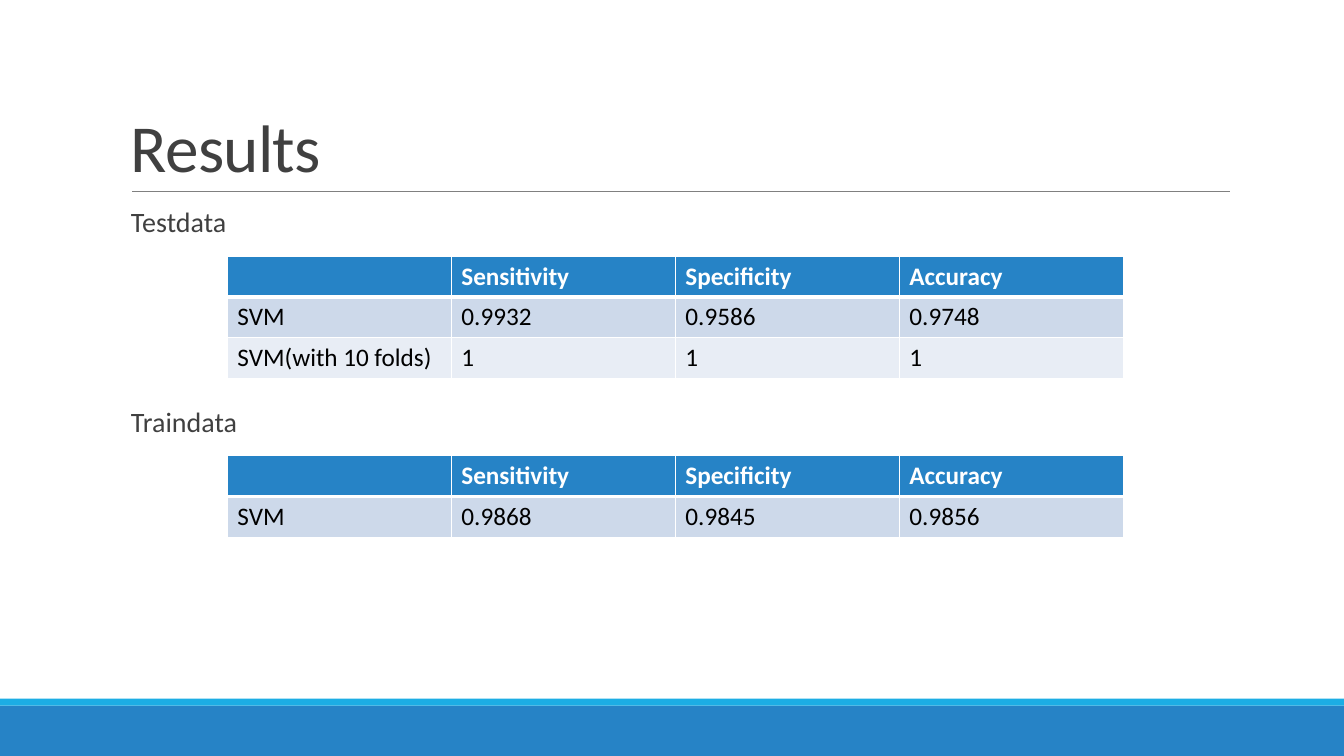
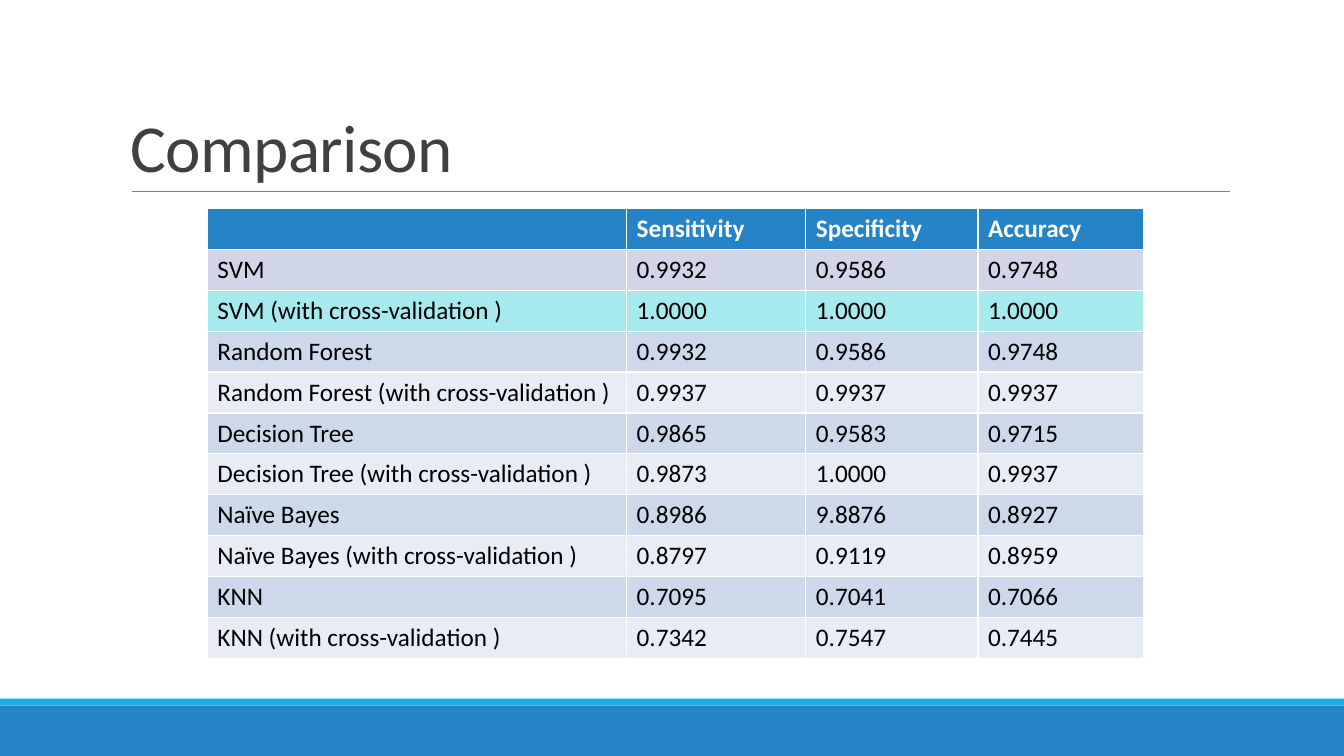
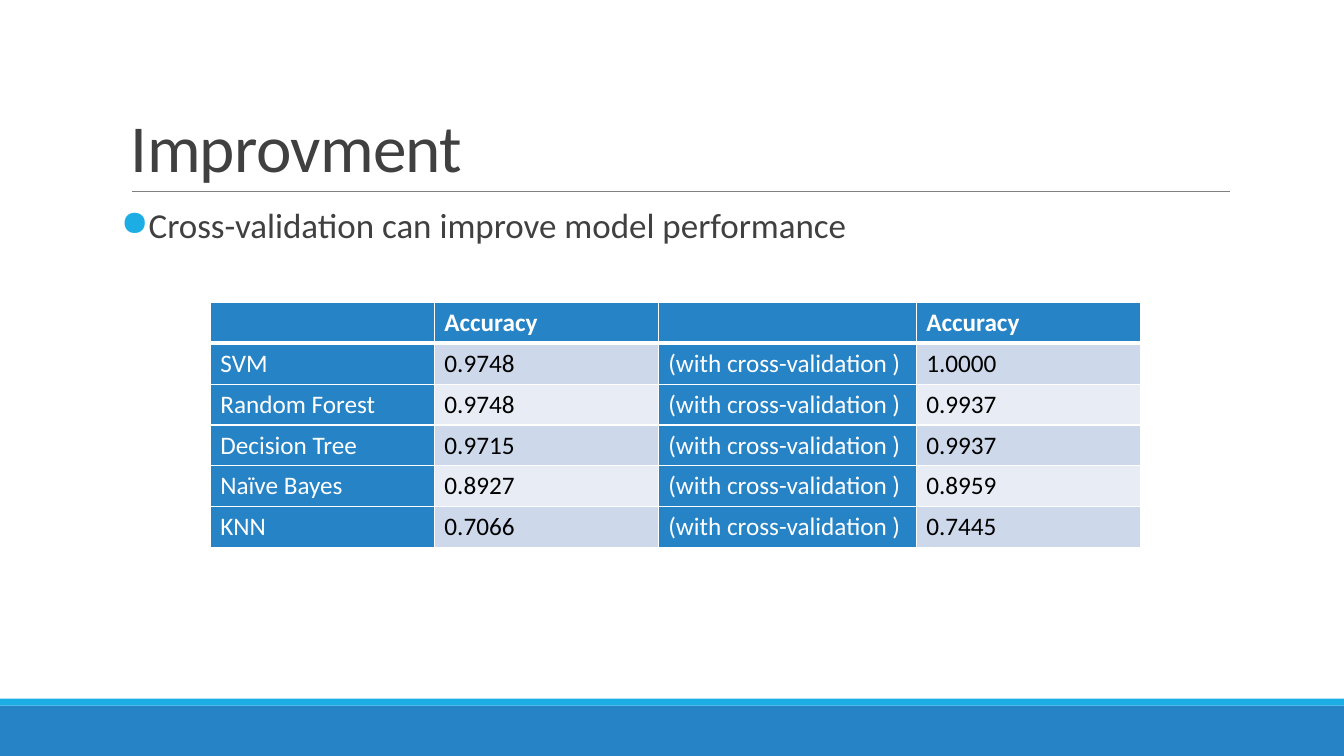
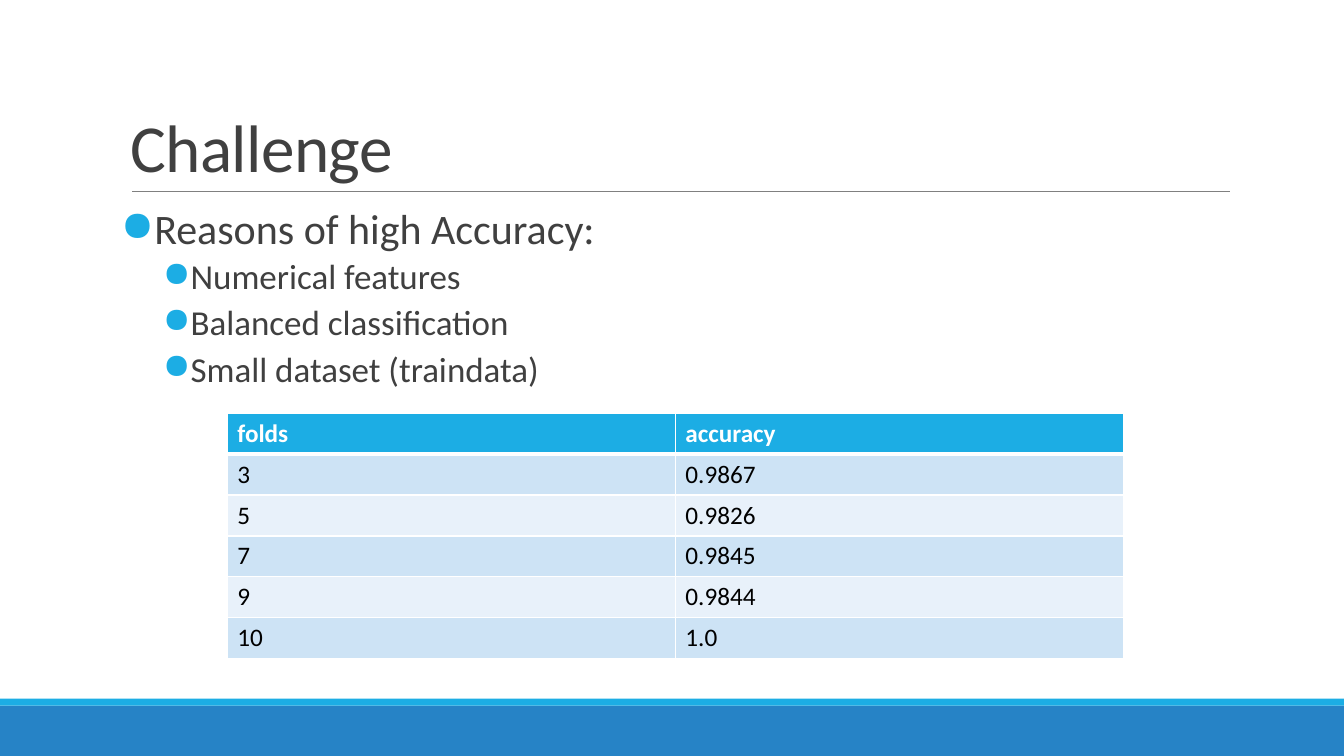
import collections

import lxml.etree
import pptx
import pptx.dml.color
import pptx.enum.shapes
import pptx.enum.text
import pptx.oxml.ns
import pptx.util

Pt = pptx.util.Pt
Box = collections.namedtuple("Box", "left top width height")
Line = collections.namedtuple("Line", "text size level space_before space_after")

# Shared style
FONT = "Calibri"
BLUE, CYAN, WHITE, BLACK = "2683C6", "1CADE4", "FFFFFF", "000000"
DARK_GREY, RULE_GREY = "404040", "808080"
BLUE_BANDS = ("CDD9EA", "E8EDF5")
CYAN_BANDS = ("CDE3F5", "E8F1FA")

SLIDE = Box(0, 0, 960, 540)
TITLE = Box(86.4, 22.3, 792, 114.5)
BODY = Box(86.4, 145.4, 792, 316.8)
ROW_HEIGHT = 29.2

# Scores: sensitivity, specificity, accuracy
METRICS = ["Sensitivity", "Specificity", "Accuracy"]
FOLDED = "(with cross-validation )"
MODELS = [
    ("SVM", ["0.9932", "0.9586", "0.9748"], ["1.0000", "1.0000", "1.0000"]),
    ("Random Forest", ["0.9932", "0.9586", "0.9748"], ["0.9937", "0.9937", "0.9937"]),
    ("Decision Tree", ["0.9865", "0.9583", "0.9715"], ["0.9873", "1.0000", "0.9937"]),
    ("Naïve Bayes", ["0.8986", "9.8876", "0.8927"], ["0.8797", "0.9119", "0.8959"]),
    ("KNN", ["0.7095", "0.7041", "0.7066"], ["0.7342", "0.7547", "0.7445"]),
]


def color(value):
    return pptx.dml.color.RGBColor.from_string(value)


def add_element(parent, tag, **attributes):
    element = lxml.etree.SubElement(parent, pptx.oxml.ns.qn(tag))
    for name, value in attributes.items():
        element.set(name, str(value))
    return element


def format_runs(paragraph, size, font_color, bold=False):
    for run in paragraph.runs:
        run.font.name = FONT
        run.font.size = Pt(size)
        run.font.bold = bold
        run.font.color.rgb = color(font_color)


def add_text_box(slide, box):
    text_frame = slide.shapes.add_textbox(*map(Pt, box)).text_frame
    text_frame.word_wrap = True
    return text_frame


def add_band(slide, box, fill):
    band = slide.shapes.add_shape(
        pptx.enum.shapes.MSO_SHAPE.RECTANGLE, *map(Pt, box))
    band.shadow.inherit = False
    band.fill.solid()
    band.fill.fore_color.rgb = color(fill)
    band.line.fill.background()


def add_slide(presentation, title):
    slide = presentation.slides.add_slide(presentation.slide_layouts[6])

    # Footer bands
    add_band(slide, Box(0, 504, SLIDE.width, 36), BLUE)
    add_band(slide, Box(0, 499, SLIDE.width, 5), CYAN)

    # Rule under the title
    bottom = TITLE.top + TITLE.height
    rule = slide.shapes.add_connector(
        pptx.enum.shapes.MSO_CONNECTOR.STRAIGHT,
        Pt(TITLE.left + 8), Pt(bottom), Pt(TITLE.left + TITLE.width), Pt(bottom))
    rule.line.color.rgb = color(RULE_GREY)
    rule.line.width = Pt(0.5)
    add_element(rule._element.spPr, "a:effectLst")

    # Title
    text_frame = add_text_box(slide, TITLE)
    text_frame.vertical_anchor = pptx.enum.text.MSO_ANCHOR.BOTTOM
    paragraph = text_frame.paragraphs[0]
    paragraph.text = title
    paragraph.line_spacing = 0.85
    format_runs(paragraph, 48, DARK_GREY)
    paragraph.runs[0]._r.get_or_add_rPr().set("spc", "-50")
    return slide


def add_body(slide, box, lines):
    """Level 0 is a plain label; levels 1 and 2 have bullets."""
    text_frame = add_text_box(slide, box)
    text_frame.margin_left = text_frame.margin_right = 0
    for index, line in enumerate(lines):
        paragraph = text_frame.add_paragraph() if index else text_frame.paragraphs[0]
        paragraph.text = line.text
        paragraph.line_spacing = 0.9
        paragraph.space_before = Pt(line.space_before)
        paragraph.space_after = Pt(line.space_after)
        format_runs(paragraph, line.size, DARK_GREY)

        properties = paragraph._p.get_or_add_pPr()
        if line.level == 0:
            properties.set("marL", str(Pt(7.2)))
            continue
        hanging = Pt(0.77 * line.size)
        properties.set("marL", str(Pt(30 * (line.level - 1)) + hanging))
        properties.set("indent", str(-hanging))
        add_element(add_element(properties, "a:buClr"), "a:srgbClr", val=CYAN)
        add_element(properties, "a:buChar", char="●")


def set_borders(cell, top, bottom):
    properties = cell._tc.get_or_add_tcPr()
    widths = {"a:lnL": 1, "a:lnR": 1, "a:lnT": top, "a:lnB": bottom}
    for index, (tag, width) in enumerate(widths.items()):
        border = add_element(properties, tag, w=Pt(width))
        add_element(add_element(border, "a:solidFill"), "a:srgbClr", val=WHITE)
        properties.insert(index, border)


def add_score_table(slide, box, offset, widths, rows, header_fill=BLUE,
                    bands=BLUE_BANDS, header_rule=3, label_columns=(), row_fills=None):
    """Centre a table in the box, offset down from its top."""
    row_fills = row_fills or {}
    width = sum(widths)
    table = slide.shapes.add_table(
        len(rows), len(widths),
        Pt(box.left + (box.width - width) / 2), Pt(box.top + offset),
        Pt(width), Pt(ROW_HEIGHT * len(rows))).table
    table.first_row = table.horz_banding = False
    for column, column_width in zip(table.columns, widths):
        column.width = Pt(column_width)

    for row_index, values in enumerate(rows):
        table.rows[row_index].height = Pt(ROW_HEIGHT)
        is_header = row_index == 0
        band = row_fills.get(row_index, bands[(row_index - 1) % 2])
        for column_index, value in enumerate(values):
            cell = table.cell(row_index, column_index)
            is_blue = is_header or column_index in label_columns
            cell.fill.solid()
            cell.fill.fore_color.rgb = color(header_fill if is_blue else band)
            cell.text_frame.text = value
            format_runs(cell.text_frame.paragraphs[0], 18,
                        WHITE if is_blue else BLACK, bold=is_header)
            set_borders(cell, top=header_rule if row_index == 1 else 1,
                        bottom=header_rule if is_header else 1)


def build_results(presentation):
    slide = add_slide(presentation, "Results")
    add_body(slide, BODY, [Line("Testdata", 20, 0, 12, 2),
                           Line("Traindata", 20, 0, 119, 2)])
    header = [""] + METRICS
    name, scores, _ = MODELS[0]
    add_score_table(slide, BODY, 37.5, [160] * 4, [
        header, [name] + scores, ["SVM(with 10 folds)", "1", "1", "1"]])
    add_score_table(slide, BODY, 180, [160] * 4, [
        header, [name, "0.9868", "0.9845", "0.9856"]])


def build_comparison(presentation):
    slide = add_slide(presentation, "Comparison")
    rows = [[""] + METRICS]
    for name, plain, folded in MODELS:
        rows += [[name] + plain, [f"{name} {FOLDED}"] + folded]
    add_score_table(slide, BODY, 3.6, [299.5, 128, 123, 118], rows,
                    header_rule=1, row_fills={1: "D0D5E7", 2: "A6EAEE"})


def build_improvement(presentation):
    slide = add_slide(presentation, "Improvment")
    add_body(slide, BODY, [
        Line("Cross-validation can improve model performance", 25, 1, 12, 2)])
    rows = [["", "Accuracy"] * 2]
    rows += [[name, plain[-1], FOLDED, folded[-1]] for name, plain, folded in MODELS]
    add_score_table(slide, BODY, 70.6, [160, 160, 184.3, 160], rows,
                    label_columns=(0, 2))


def build_challenge(presentation):
    slide = add_slide(presentation, "Challenge")
    reasons = ["Numerical features", "Balanced classification",
               "Small dataset (traindata)"]
    add_body(slide, BODY, [Line("Reasons of high Accuracy:", 30, 1, 12, 2)]
             + [Line(reason, 25, 2, 2, 4) for reason in reasons])
    add_score_table(slide, BODY, 149.8, [320] * 2, [
        ["folds", "accuracy"], ["3", "0.9867"], ["5", "0.9826"],
        ["7", "0.9845"], ["9", "0.9844"], ["10", "1.0"],
    ], header_fill=CYAN, bands=CYAN_BANDS)


def main():
    presentation = pptx.Presentation()
    presentation.slide_width = Pt(SLIDE.width)
    presentation.slide_height = Pt(SLIDE.height)
    build_results(presentation)
    build_comparison(presentation)
    build_improvement(presentation)
    build_challenge(presentation)
    presentation.save("out.pptx")


if __name__ == "__main__":
    main()
